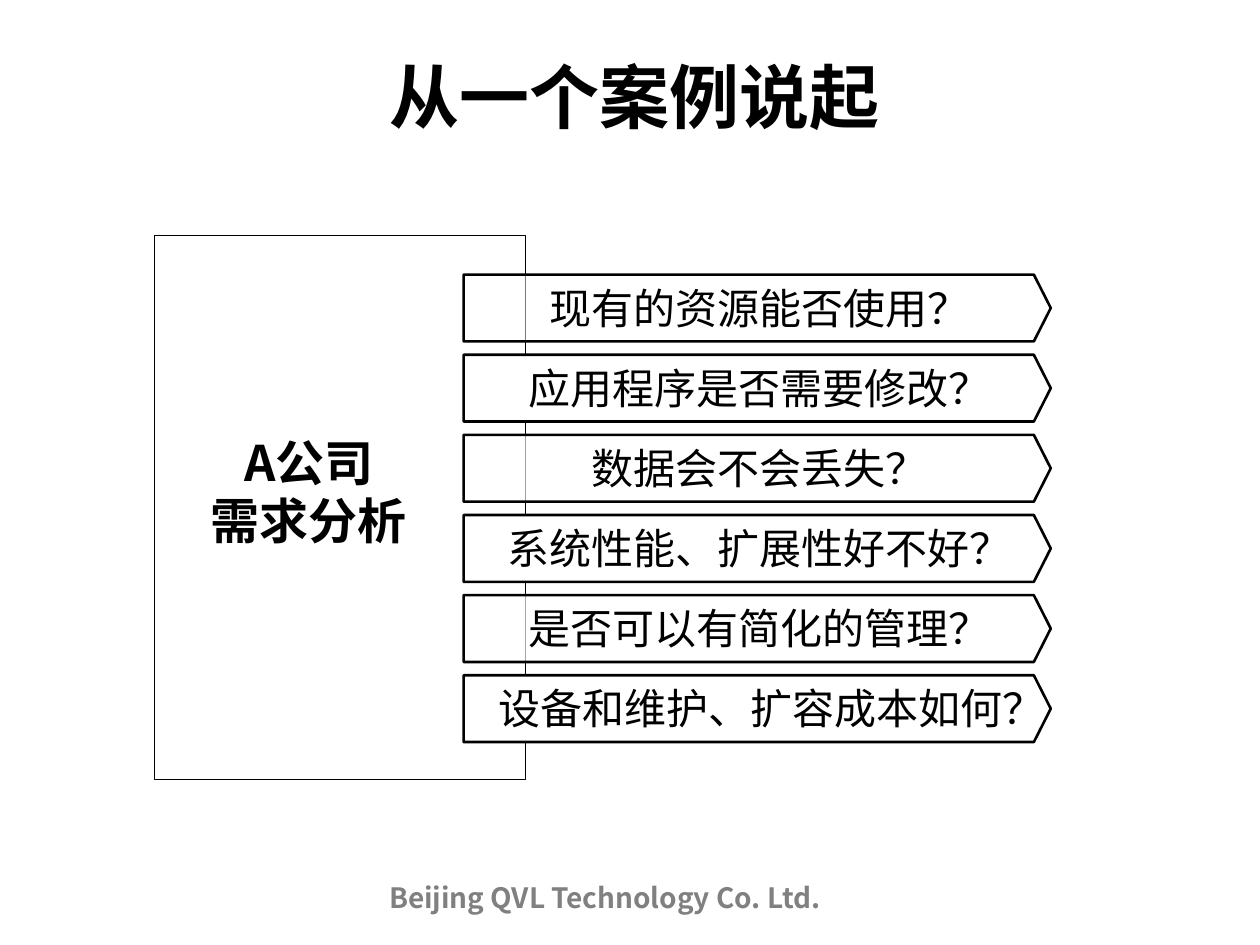
"""Build the case study slide with its six need questions."""
from lxml import etree
from pptx import Presentation
from pptx import util as u
from pptx.dml import color
from pptx.enum import shapes, text
from pptx.oxml import ns

FONT = "Noto Sans CJK SC"
HUES = {"ink": "000000", "paper": "FFFFFF", "foot": "808080"}
NEEDS = [
    ("现有的资源能否使用？", 47),
    ("应用程序是否需要修改？", 100),
    ("数据会不会丢失？", 63),
    ("系统性能、扩展性好不好？", 100),
    ("是否可以有简化的管理？", 65),
    ("设备和维护、扩容成本如何？", 100),
]
TOP, STEP = 2.18, 0.636


def rgb(name):
    return color.RGBColor.from_string(HUES[name])


def inch(box):
    return [u.Inches(n) for n in box]


def write(shape, words, size=24, hue="ink", bold=False, align="CENTER",
          anchor="TOP", pad=(0, 0), wrap=True, grow=True, lead=None):
    frame = shape.text_frame
    frame.text = words
    frame.word_wrap = wrap
    fit = text.MSO_AUTO_SIZE
    frame.auto_size = fit.SHAPE_TO_FIT_TEXT if grow else fit.NONE
    frame.vertical_anchor = text.MSO_ANCHOR[anchor]
    frame.margin_left = frame.margin_right = u.Inches(pad[0])
    frame.margin_top = frame.margin_bottom = u.Inches(pad[1])
    for para in frame.paragraphs:
        para.alignment = text.PP_ALIGN[align]
        para.line_spacing = lead
        for run in para.runs:
            font = run.font
            font.name, font.size, font.bold = FONT, u.Pt(size), bold
            font.color.rgb = rgb(hue)
            east = etree.SubElement(run._r.get_or_add_rPr(), ns.qn("a:ea"))
            east.set("typeface", FONT)


def label(slide, box, words, **form):
    write(slide.shapes.add_textbox(*inch(box)), words, **form)


def block(slide, kind, box, width, alpha=None):
    shape = slide.shapes.add_shape(kind, *inch(box))
    shape.shadow.inherit = False
    shape.line.color.rgb = rgb("ink")
    shape.line.width = u.Pt(width)
    if alpha is None:
        shape.fill.background()
        return shape
    shape.fill.solid()
    shape.fill.fore_color.rgb = rgb("paper")
    if alpha < 100:
        tint = shape._element.spPr.find(ns.qn("a:solidFill"))[0]
        etree.SubElement(tint, ns.qn("a:alpha")).set("val", str(alpha * 1000))
    return shape


def need(slide, row, words, alpha):
    top = TOP + row * STEP
    arrow = block(slide, shapes.MSO_SHAPE.PENTAGON,
                  (3.68, top, 4.66, 0.53), 1.5, alpha)
    arrow.adjustments[0] = 0.253
    left, width = (3.71, 4.82) if row == len(NEEDS) - 1 else (3.96, 4.14)
    label(slide, (left, top + 0.06, width, 0.4), words, anchor="MIDDLE")


def main():
    deck = Presentation()
    deck.slide_width, deck.slide_height = inch((10, 7.5))
    slide = deck.slides.add_slide(deck.slide_layouts[5])
    title = slide.shapes.title
    title.left, title.top, title.width, title.height = inch(
        (0.33, 0.45, 9.41, 0.71))
    write(title, "从一个案例说起", size=40, bold=True, pad=(0, 0.05),
          grow=False, lead=0.9)
    label(slide, (2.99, 6.94, 3.73, 0.37), "Beijing QVL Technology Co. Ltd.",
          size=16, hue="foot", bold=True, align="LEFT", pad=(0.1, 0.05),
          wrap=False)
    block(slide, shapes.MSO_SHAPE.RECTANGLE, (1.23, 1.87, 2.94, 4.32), 0.5)
    for row, (words, alpha) in enumerate(NEEDS):
        need(slide, row, words, alpha)
    label(slide, (1.53, 3.38, 1.84, 1.04), "A公司\n需求分析", size=28,
          bold=True, pad=(0.1, 0.05))
    deck.save("out.pptx")


if __name__ == "__main__":
    main()
